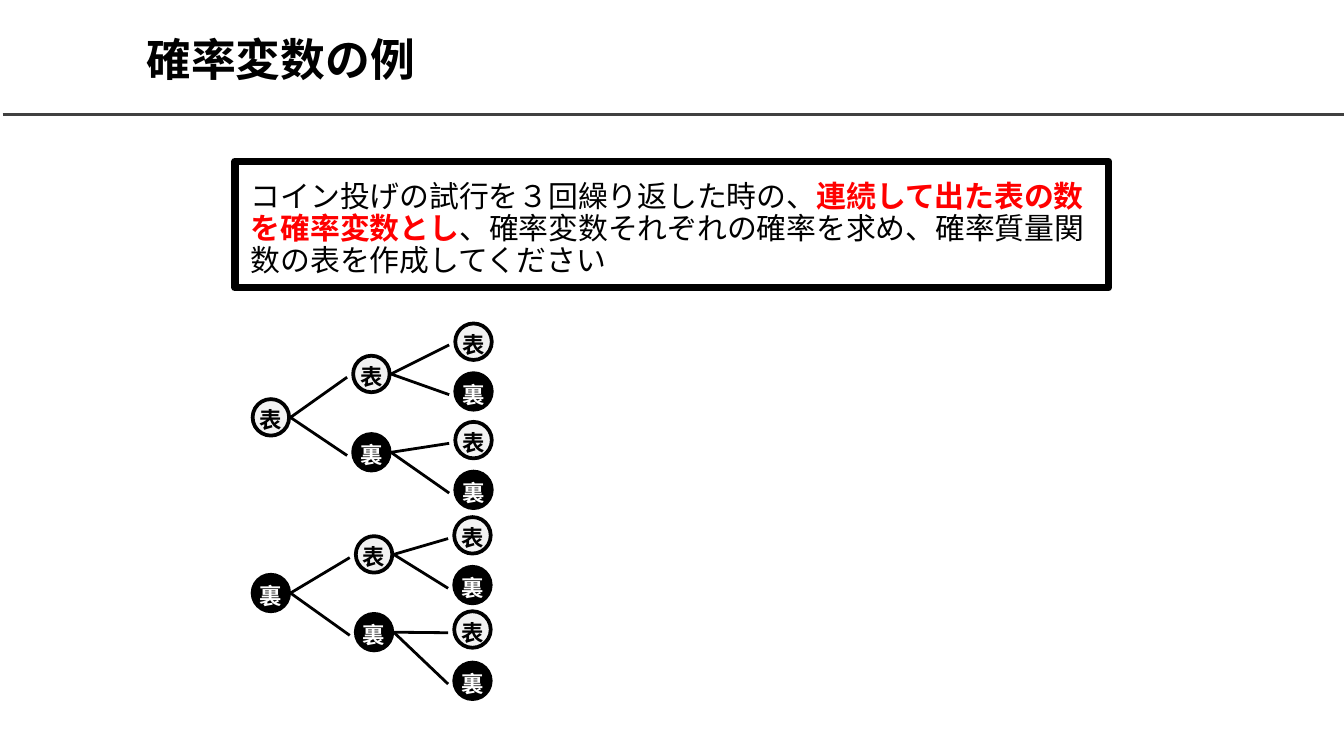
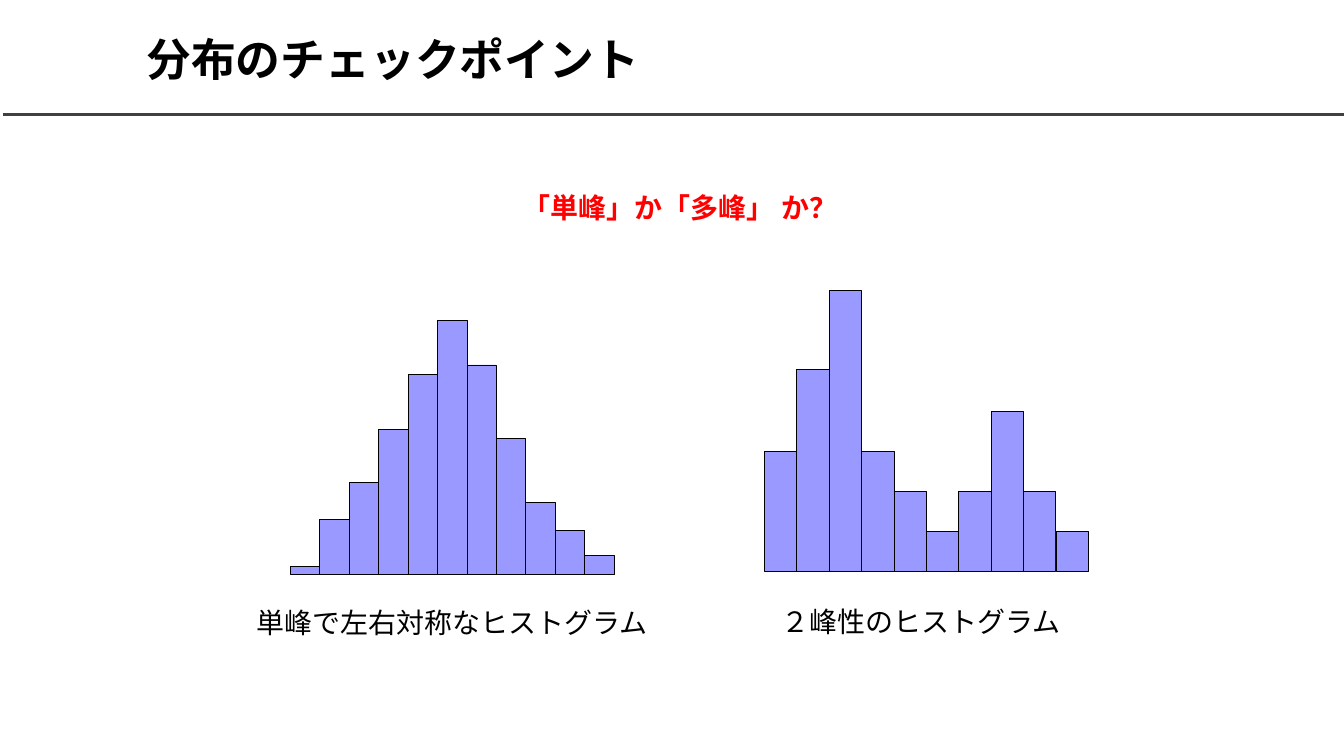
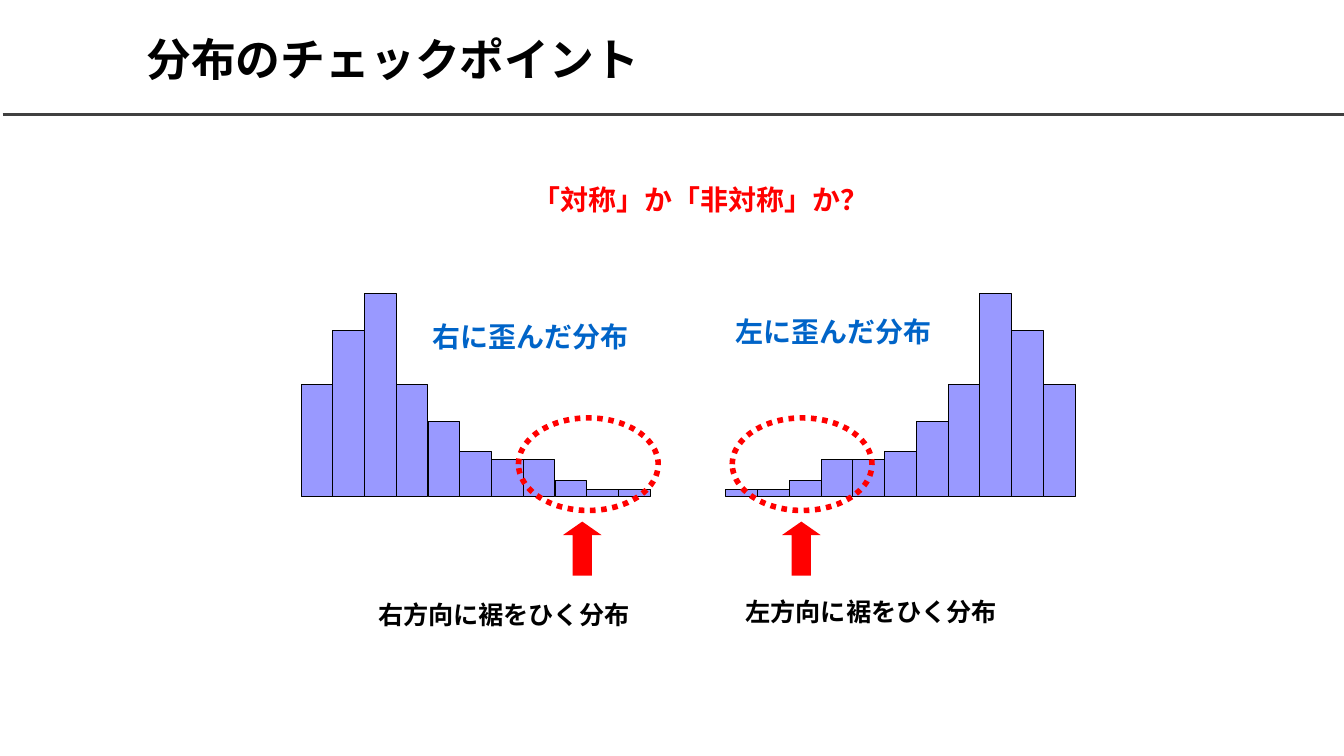
from dataclasses import dataclass

from lxml import etree
from pptx import Presentation
from pptx.dml.color import RGBColor
from pptx.enum.dml import MSO_LINE
from pptx.enum.shapes import MSO_CONNECTOR, MSO_SHAPE
from pptx.enum.text import MSO_ANCHOR, MSO_AUTO_SIZE, PP_ALIGN
from pptx.oxml.ns import qn
from pptx.util import Cm, Pt

RECTANGLE = MSO_SHAPE.RECTANGLE
OVAL = MSO_SHAPE.OVAL
UP_ARROW = MSO_SHAPE.UP_ARROW
STRAIGHT = MSO_CONNECTOR.STRAIGHT
DOTTED = MSO_LINE.ROUND_DOT
MIDDLE = MSO_ANCHOR.MIDDLE
FIXED = MSO_AUTO_SIZE.NONE
LEFT = PP_ALIGN.LEFT
CENTER = PP_ALIGN.CENTER


@dataclass(frozen=True)
class Theme:
    font: str = "Noto Sans CJK JP"
    black: str = "000000"
    white: str = "FFFFFF"
    rule: str = "404040"
    heads: str = "F2F2F2"
    red: str = "FF0000"
    blue: str = "0064C8"
    bar: str = "9999FF"
    title_size: float = 24
    task_size: float = 16
    text_size: float = 15
    note_size: float = 13.5
    coin_size: float = 12


THEME = Theme()
TITLE_ONLY = 5
COIN = 0.69
BRANCH_START, BRANCH_END, BRANCH_DROP = 0.37, 0.46, 0.06

COIN_TREES = [
    ("表", 5.12, 7.89, [
        ("表", 7.02, 7.07, [("表", 8.95, 6.46, []), ("裏", 8.95, 7.4, [])]),
        ("裏", 7.02, 8.55, [("表", 8.95, 8.32, []), ("裏", 8.95, 9.26, [])]),
    ]),
    ("裏", 5.12, 11.21, [
        ("表", 7.07, 10.48, [("表", 8.93, 10.12, []), ("裏", 8.93, 11.06, [])]),
        ("裏", 7.07, 11.95, [("表", 8.93, 11.9, []), ("裏", 8.93, 12.87, [])]),
    ]),
]
SINGLE_PEAK = [0.15, 1.04, 1.73, 2.74, 3.78, 4.8, 3.96, 2.57, 1.37, 0.84, 0.36]
TWO_PEAKS = [2.26, 3.81, 5.31, 2.26, 1.5, 0.76, 1.5, 3.02, 1.5, 0.76]
RIGHT_TAIL = [2.13, 3.15, 3.84, 2.13, 1.42, 0.86, 0.71, 0.71, 0.3, 0.13, 0.13]


def write(paragraph, text, size=THEME.text_size, color=THEME.black, bold=False):
    run = paragraph.add_run()
    run.text = text
    run.font.size = Pt(size)
    run.font.bold = bold
    run.font.color.rgb = RGBColor.from_string(color)
    run.font.name = THEME.font
    etree.SubElement(run.font._element, qn("a:ea"), typeface=THEME.font)


class Deck:
    def __init__(self, theme):
        self.theme = theme
        self.presentation = Presentation()
        self.presentation.slide_width = Cm(25.4)
        self.presentation.slide_height = Cm(14.29)
        self.slide = None

    def new_slide(self, heading):
        layout = self.presentation.slide_layouts[TITLE_ONLY]
        self.slide = self.presentation.slides.add_slide(layout)
        self.line(0.05, 2.16, 25.4, 2.16, self.theme.rule)
        title = self.slide.shapes.title
        title.left, title.top, title.width, title.height = Cm(2.51), Cm(0.3), Cm(22.02), Cm(1.6)
        frame = title.text_frame
        frame.auto_size = FIXED
        frame.vertical_anchor = MIDDLE
        frame.paragraphs[0].alignment = LEFT
        write(frame.paragraphs[0], heading, size=self.theme.title_size, bold=True)

    def line(self, x1, y1, x2, y2, color):
        connector = self.slide.shapes.add_connector(STRAIGHT, Cm(x1), Cm(y1), Cm(x2), Cm(y2))
        connector.line.color.rgb = RGBColor.from_string(color)
        connector.line.width = Pt(1.5)
        etree.SubElement(connector._element.spPr, qn("a:effectLst"))

    def shape(self, kind, x, y, width, height, fill=None, outline=None, weight=0.5):
        shape = self.slide.shapes.add_shape(kind, Cm(x), Cm(y), Cm(width), Cm(height))
        shape.shadow.inherit = False
        if fill:
            shape.fill.solid()
            shape.fill.fore_color.rgb = RGBColor.from_string(fill)
        else:
            shape.fill.background()
        if outline:
            shape.line.color.rgb = RGBColor.from_string(outline)
            shape.line.width = Pt(weight)
        else:
            shape.line.fill.background()
        return shape

    def label(self, text, x, y, width, align=CENTER, **style):
        frame = self.slide.shapes.add_textbox(Cm(x), Cm(y), Cm(width), Cm(0.89)).text_frame
        frame.word_wrap = True
        frame.margin_left = frame.margin_right = 0
        frame.paragraphs[0].alignment = align
        write(frame.paragraphs[0], text, **style)

    def task(self, passages):
        box = self.shape(RECTANGLE, 4.44, 3.05, 16.51, 2.39, outline=self.theme.black, weight=4)
        frame = box.text_frame
        frame.word_wrap = True
        frame.vertical_anchor = MIDDLE
        frame.margin_left, frame.margin_right = Cm(0.3), Cm(0.25)
        frame.margin_top, frame.margin_bottom = Cm(0.2), 0
        paragraph = frame.paragraphs[0]
        paragraph.alignment = LEFT
        paragraph.line_spacing = 0.9
        for text, style in passages:
            write(paragraph, text, size=self.theme.task_size, **style)

    def coin(self, face, x, y):
        heads = face == "表"
        fill = self.theme.heads if heads else self.theme.black
        ink = self.theme.black if heads else self.theme.white
        disc = self.shape(OVAL, x - COIN / 2, y - COIN / 2, COIN, COIN,
                          fill=fill, outline=self.theme.black, weight=2)
        frame = disc.text_frame
        frame.word_wrap = False
        frame.vertical_anchor = MIDDLE
        frame.margin_left = frame.margin_right = frame.margin_bottom = 0
        frame.margin_top = Cm(0.1)
        frame.paragraphs[0].alignment = CENTER
        write(frame.paragraphs[0], face, size=self.theme.coin_size, color=ink, bold=True)

    def coin_tree(self, face, x, y, outcomes):
        self.coin(face, x, y)
        for outcome in outcomes:
            next_x, next_y = outcome[1:3]
            self.line(x + BRANCH_START, y, next_x - BRANCH_END, next_y + BRANCH_DROP,
                      self.theme.black)
            self.coin_tree(*outcome)

    def histogram(self, heights, x, baseline, span):
        step = span / len(heights)
        for index, height in enumerate(heights):
            self.shape(RECTANGLE, x + index * step, baseline - height, step, height,
                       fill=self.theme.bar, outline=self.theme.black)

    def tail_mark(self, ring_x, arrow_x):
        ring = self.shape(OVAL, ring_x, 7.9, 2.64, 1.75, outline=self.theme.red, weight=3)
        ring.line.dash_style = DOTTED
        arrow = self.shape(UP_ARROW, arrow_x, 9.86, 0.73, 1.02, fill=self.theme.red)
        arrow.adjustments[0] = 0.5
        arrow.adjustments[1] = 0.35


def random_variable(deck):
    deck.new_slide("確率変数の例")
    for tree in COIN_TREES:
        deck.coin_tree(*tree)
    deck.task([
        ("コイン投げの試行を３回繰り返した時の、", {}),
        ("連続して出た表の数を確率変数とし", {"color": THEME.red, "bold": True}),
        ("、確率変数それぞれの確率を求め、確率質量関数の表を作成してください", {}),
    ])


def peaks(deck):
    deck.new_slide("分布のチェックポイント")
    deck.label("「単峰」か「多峰」 か？", 9.88, 3.48, 7.93, align=LEFT, color=THEME.red, bold=True)
    deck.histogram(SINGLE_PEAK, 5.49, 10.86, 6.12)
    deck.label("単峰で左右対称なヒストグラム", 4.55, 11.33, 8)
    deck.histogram(TWO_PEAKS, 14.45, 10.8, 6.12)
    deck.label("２峰性のヒストグラム", 14.48, 11.3, 5.87)


def symmetry(deck):
    deck.new_slide("分布のチェックポイント")
    deck.label("「対称」か「非対称」か？", 10.06, 3.33, 7.93, align=LEFT, color=THEME.red, bold=True)
    sides = [
        ("右", RIGHT_TAIL, 5.69, 7.9, 5.92, 6.45, 11.2, 9.8, 10.64),
        ("左", RIGHT_TAIL[::-1], 13.72, 13.64, 5.82, 13.39, 11.15, 13.84, 14.78),
    ]
    for side, heights, bars_x, skew_x, skew_y, tail_x, tail_y, ring_x, arrow_x in sides:
        deck.histogram(heights, bars_x, 9.39, 6.6)
        deck.label(f"{side}に歪んだ分布", skew_x, skew_y, 4.24, color=THEME.blue, bold=True)
        deck.label(f"{side}方向に裾をひく分布", tail_x, tail_y, 6.15,
                   size=THEME.note_size, bold=True)
        deck.tail_mark(ring_x, arrow_x)


def main():
    deck = Deck(THEME)
    random_variable(deck)
    peaks(deck)
    symmetry(deck)
    deck.presentation.save("out.pptx")


if __name__ == "__main__":
    main()
